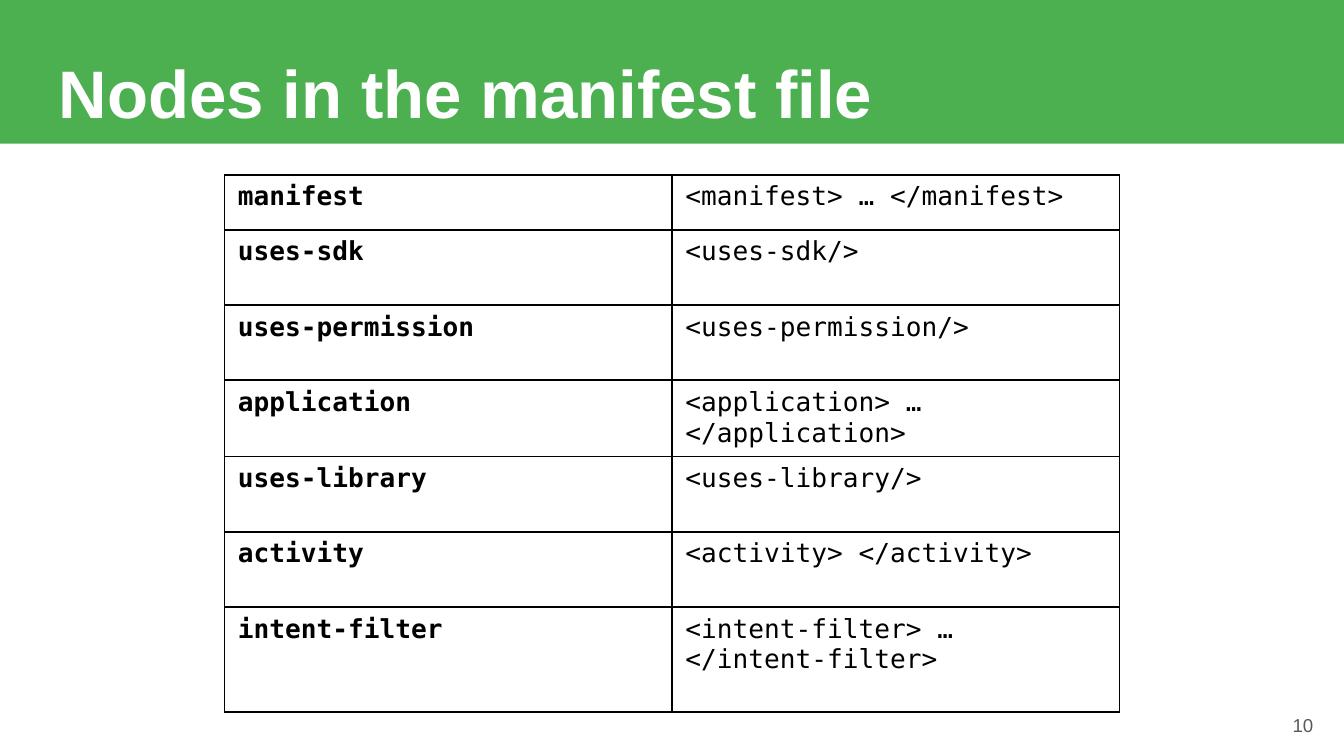
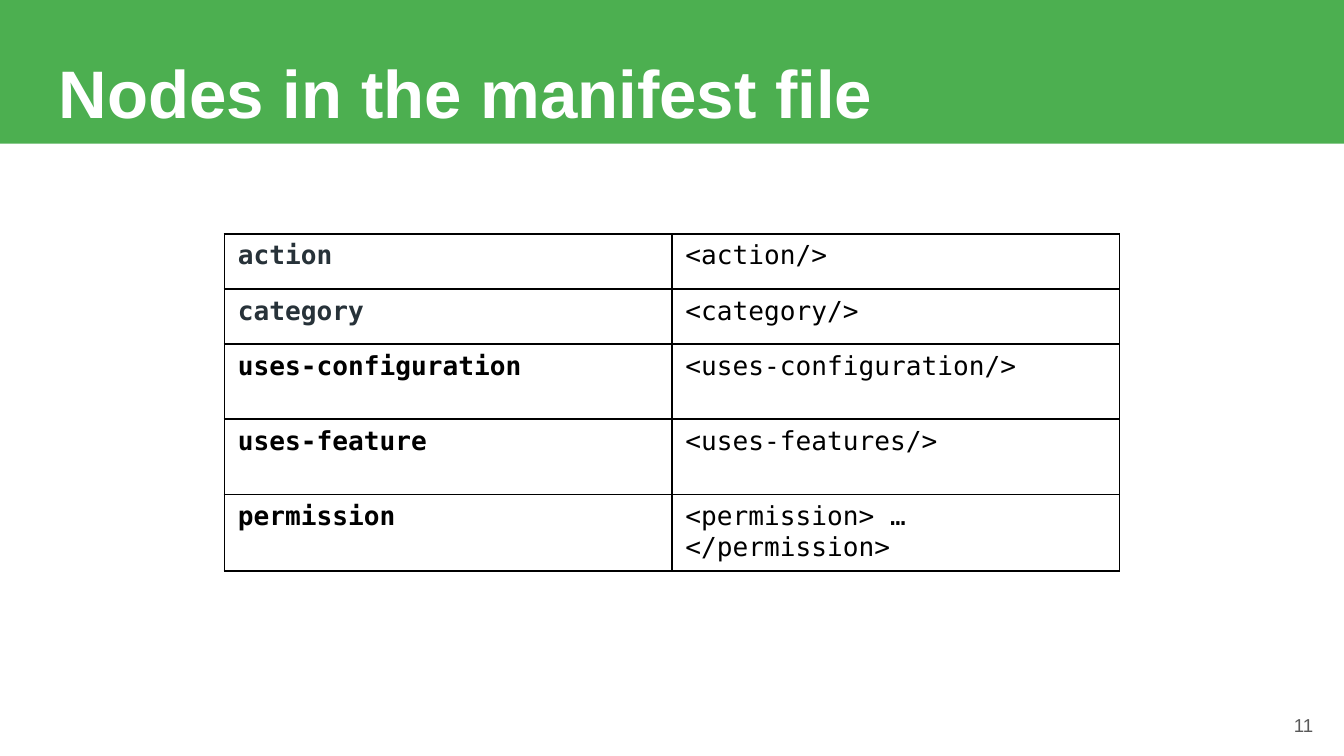
"""Build two slides that list the nodes of a manifest file."""
from lxml.etree import SubElement
from pptx import Presentation
from pptx.dml.color import RGBColor
from pptx.enum.shapes import MSO_SHAPE
from pptx.enum.text import MSO_ANCHOR, PP_ALIGN
from pptx.oxml.ns import qn
from pptx.util import Inches, Pt

COLORS = {"band": "4CAF50", "title": "FFFFFF", "page": "595959",
          "text": "000000", "slate": "273239"}
SANS, MONO = "Arial", "DejaVu Sans Mono"
LEFT, COL = 1.67, 3.33

SLIDES = [
    (10, 1.3, [
        ("manifest", "<manifest> … </manifest>", 0.41, "text"),
        ("uses-sdk", "<uses-sdk/>", 0.56, "text"),
        ("uses-permission", "<uses-permission/>", 0.56, "text"),
        ("application", "<application> … </application>", 0.56, "text"),
        ("uses-library", "<uses-library/>", 0.56, "text"),
        ("activity", "<activity> </activity>", 0.56, "text"),
        ("intent-filter", "<intent-filter> … </intent-filter>", 0.78, "text"),
    ]),
    (11, 1.74, [
        ("action", "<action/>", 0.41, "slate"),
        ("category", "<category/>", 0.41, "slate"),
        ("uses-configuration", "<uses-configuration/>", 0.56, "text"),
        ("uses-feature", "<uses-features/>", 0.56, "text"),
        ("permission", "<permission> … </permission>", 0.56, "text"),
    ]),
]


def write(frame, text, face, size, color, bold=False):
    frame.text = text
    frame.word_wrap = True
    para = frame.paragraphs[0]
    para.font.name = face
    para.font.size = Pt(size)
    para.font.bold = bold
    para.font.color.rgb = RGBColor.from_string(COLORS[color])
    return para


def add_box(slide, left, top, width, height):
    box = slide.shapes.add_textbox(*map(Inches, (left, top, width, height)))
    frame = box.text_frame
    frame.margin_left = frame.margin_right = Inches(0.1)
    frame.margin_top = frame.margin_bottom = Inches(0.1)
    return frame


deck = Presentation()
deck.slide_width = Inches(10)
deck.slide_height = Inches(10 * 9 / 16)

for page, top, nodes in SLIDES:
    slide = deck.slides.add_slide(deck.slide_layouts[6])

    band = slide.shapes.add_shape(MSO_SHAPE.RECTANGLE, Inches(-0.01), Inches(-0.04),
                                  Inches(10.01), Inches(1.11))
    band.shadow.inherit = False
    band.fill.solid()
    band.fill.fore_color.rgb = RGBColor.from_string(COLORS["band"])
    band.line.fill.background()

    title = add_box(slide, 0.34, 0.19, 9.32, 0.63)
    para = write(title, "Nodes in the manifest file", SANS, 36, "title", True)
    para.line_spacing = 1.15

    number = add_box(slide, 9.27, 5.18, 0.6, 0.43)
    number.vertical_anchor = MSO_ANCHOR.MIDDLE
    write(number, str(page), SANS, 10, "page").alignment = PP_ALIGN.RIGHT

    total = sum(height for _, _, height, _ in nodes)
    table = slide.shapes.add_table(len(nodes), 2, Inches(LEFT), Inches(top),
                                   Inches(2 * COL), Inches(total)).table
    table.first_row = table.horz_banding = False
    for column in table.columns:
        column.width = Inches(COL)

    for row, (name, tag, height, color) in zip(table.rows, nodes):
        row.height = Inches(height)
        para = write(row.cells[0].text_frame, name, MONO, 14, color, True)
        if color == "slate":
            para.alignment = PP_ALIGN.JUSTIFY
        write(row.cells[1].text_frame, tag, MONO, 14, "text")
        for cell in row.cells:
            props = cell._tc.get_or_add_tcPr()
            for side in ("a:lnL", "a:lnR", "a:lnT", "a:lnB"):
                line = SubElement(props, qn(side), w=str(Pt(1)))
                fill = SubElement(line, qn("a:solidFill"))
                SubElement(fill, qn("a:srgbClr"), val=COLORS["text"])
            cell.fill.background()

deck.save("out.pptx")
